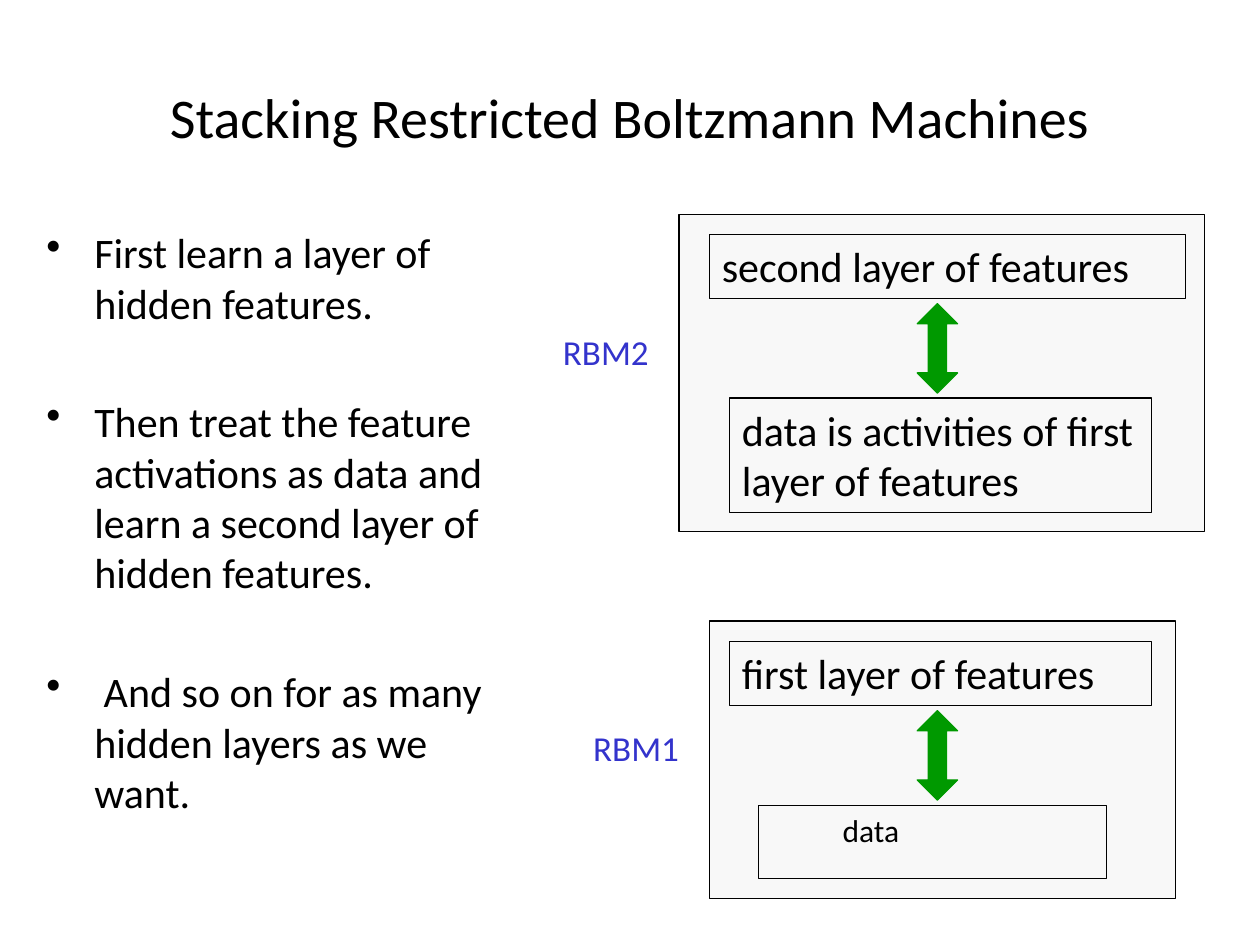
from dataclasses import dataclass

import pptx
import pptx.dml.color
import pptx.enum.shapes
import pptx.enum.text
import pptx.oxml
import pptx.oxml.ns
import pptx.util

EMU_PER_PX = 9144  # 100 px to the inch
RECTANGLE = pptx.enum.shapes.MSO_SHAPE.RECTANGLE
ARROW = pptx.enum.shapes.MSO_SHAPE.UP_DOWN_ARROW


@dataclass(frozen=True)
class Theme:
    font: str = "Calibri"
    ink: str = "000000"
    panel: str = "DDDDDD"
    panel_opacity: int = 20
    arrow: str = "009900"
    label: str = "3333CC"
    title_size: int = 32
    body_size: int = 24
    label_size: int = 20
    data_size: int = 18
    line_width: float = 0.75
    bullet_indent: int = 38
    bullet_gap: int = 39


def px(*lengths):
    return [pptx.util.Emu(length * EMU_PER_PX) for length in lengths]


def rgb(color):
    return pptx.dml.color.RGBColor.from_string(color)


class SlideBuilder:
    def __init__(self, presentation, theme):
        self.theme = theme
        self.slide = presentation.slides.add_slide(presentation.slide_layouts[5])

    def add_text(self, paragraph, text, size, color):
        run = paragraph.add_run()
        run.text = text
        run.font.name = self.theme.font
        run.font.size = pptx.util.Pt(size)
        run.font.color.rgb = rgb(color)

    def title(self, text, box):
        shape = self.slide.shapes.title
        shape.left, shape.top, shape.width, shape.height = px(*box)
        shape.text_frame.vertical_anchor = pptx.enum.text.MSO_ANCHOR.MIDDLE
        paragraph = shape.text_frame.paragraphs[0]
        paragraph.alignment = pptx.enum.text.PP_ALIGN.CENTER
        self.add_text(paragraph, text, self.theme.title_size, self.theme.ink)

    def text_box(self, box):
        frame = self.slide.shapes.add_textbox(*px(*box)).text_frame
        frame.word_wrap = True
        return frame

    def label(self, text, box):
        paragraph = self.text_box(box).paragraphs[0]
        self.add_text(paragraph, text, self.theme.label_size, self.theme.label)

    def bullets(self, items, box):
        frame = self.text_box(box)
        indent = px(self.theme.bullet_indent)[0]
        for index, text in enumerate(items):
            paragraph = frame.add_paragraph() if index else frame.paragraphs[0]
            paragraph.space_before = pptx.util.Pt(self.theme.bullet_gap if index else 0)
            properties = paragraph._p.get_or_add_pPr()
            properties.set("marL", str(indent))
            properties.set("indent", str(-indent))
            properties.append(pptx.oxml.parse_xml(
                f'<a:buChar {pptx.oxml.ns.nsdecls("a")} char="•"/>'))
            self.add_text(paragraph, text, self.theme.body_size, self.theme.ink)

    def outlined(self, kind, box, line_color):
        shape = self.slide.shapes.add_shape(kind, *px(*box))
        shape.shadow.inherit = False
        shape.fill.background()
        shape.line.color.rgb = rgb(line_color)
        shape.line.width = pptx.util.Pt(self.theme.line_width)
        return shape

    def panel(self, box):
        shape = self.outlined(RECTANGLE, box, self.theme.ink)
        shape.fill.solid()
        shape.fill.fore_color.rgb = rgb(self.theme.panel)
        color = shape._element.spPr.find(
            "/".join(map(pptx.oxml.ns.qn, ("a:solidFill", "a:srgbClr"))))
        color.append(pptx.oxml.parse_xml(
            f'<a:alpha {pptx.oxml.ns.nsdecls("a")} val="{self.theme.panel_opacity * 1000}"/>'))

    def layer(self, text, box, size, indent=0):
        frame = self.outlined(RECTANGLE, box, self.theme.ink).text_frame
        frame.word_wrap = True
        frame.vertical_anchor = pptx.enum.text.MSO_ANCHOR.TOP
        paragraph = frame.paragraphs[0]
        paragraph.alignment = pptx.enum.text.PP_ALIGN.LEFT
        paragraph._p.get_or_add_pPr().set("marL", str(px(indent)[0]))
        self.add_text(paragraph, text, size, self.theme.ink)

    def arrow(self, box):
        shape = self.outlined(ARROW, box, self.theme.arrow)
        shape.fill.solid()
        shape.fill.fore_color.rgb = rgb(self.theme.arrow)
        shape.adjustments[0] = 0.5
        shape.adjustments[1] = 0.45


def main():
    presentation = pptx.Presentation()
    presentation.slide_width, presentation.slide_height = px(1000, 750)
    theme = Theme()
    builder = SlideBuilder(presentation, theme)

    # Machine frames
    builder.panel((563, 493, 370, 220))
    builder.panel((539, 170, 417, 252))

    # Title and explanation
    builder.title("Stacking Restricted Boltzmann Machines", (50, 30, 900, 125))
    builder.bullets((
        "First learn a layer of hidden features.",
        "Then treat the feature activations as data and learn a second layer of hidden features.",
        " And so on for as many hidden layers as we want.",
    ), (27, 175, 387, 531))

    # Layers, from the data upwards
    builder.layer("data", (602, 639, 276, 58), theme.data_size, indent=57)
    for text, box in (
        ("first layer of features", (579, 509, 335, 51)),
        ("data is activities of first layer of features", (579, 316, 335, 91)),
        ("second layer of features", (563, 186, 378, 51)),
    ):
        builder.layer(text, box, theme.body_size)

    # Links between layers
    for top in (564, 241):
        builder.arrow((728, top, 32, 71))

    # Machine names
    builder.label("RBM1", (461, 572, 110, 43))
    builder.label("RBM2", (437, 257, 110, 43))

    presentation.save("out.pptx")


if __name__ == "__main__":
    main()
